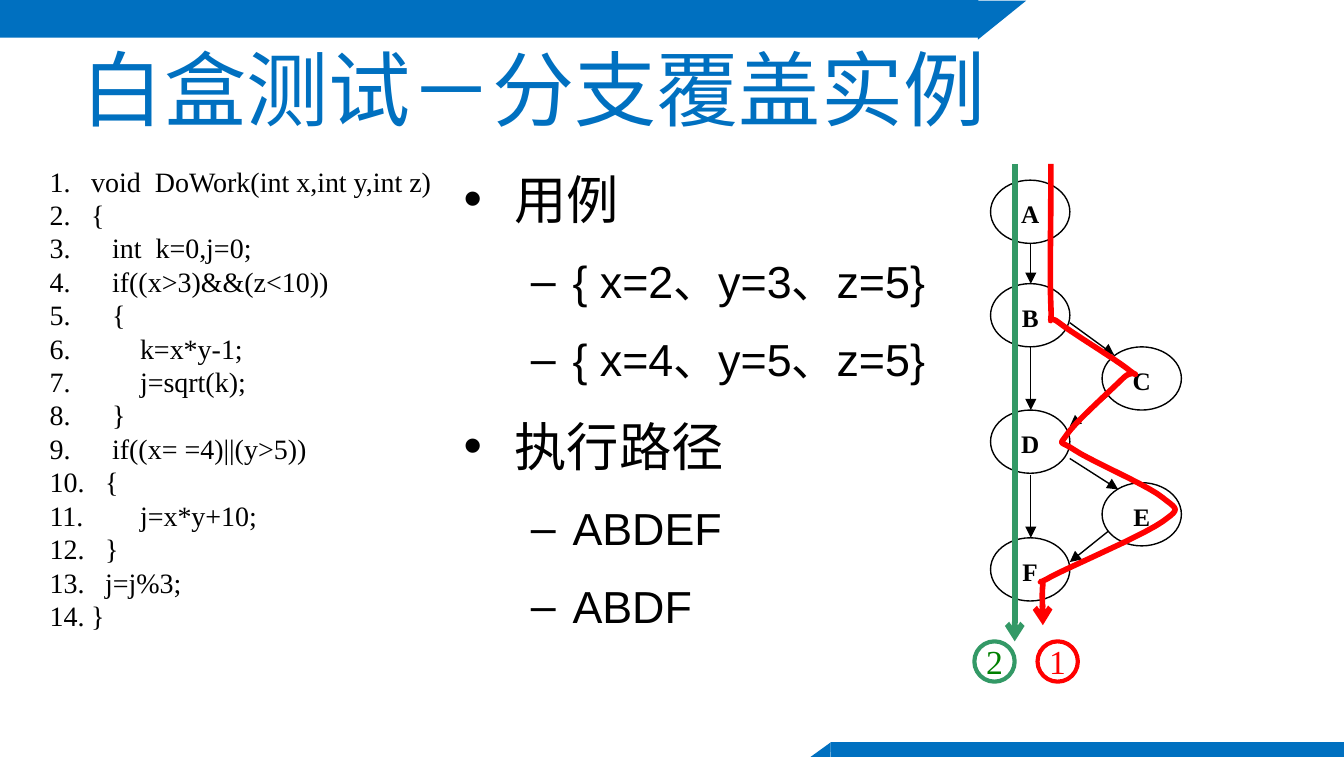
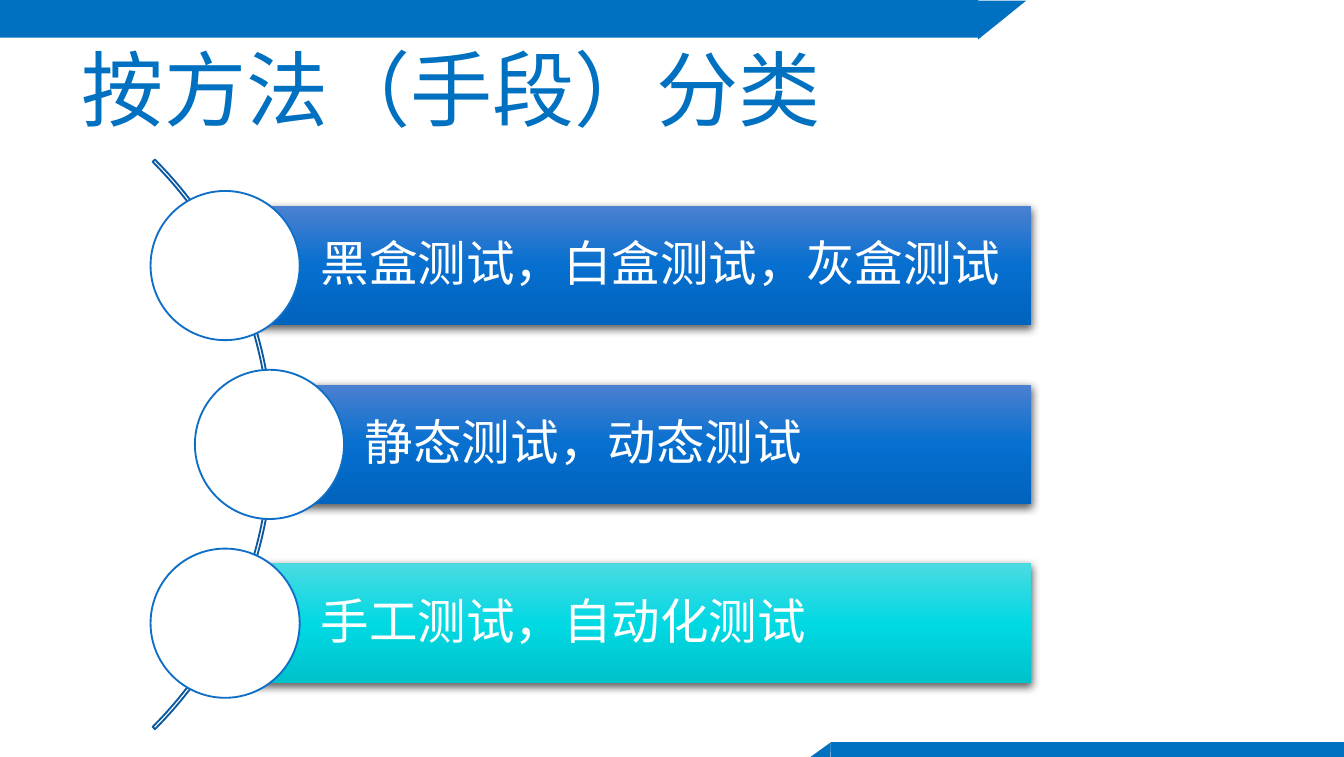
from copy import deepcopy
from typing import NamedTuple

from lxml import etree
from pptx import Presentation
from pptx.dml.color import RGBColor
from pptx.enum.shapes import MSO_CONNECTOR, MSO_SHAPE
from pptx.enum.text import MSO_ANCHOR, MSO_AUTO_SIZE, PP_ALIGN
from pptx.oxml.ns import qn
from pptx.util import Inches, Pt

RECT = MSO_SHAPE.RECTANGLE
TRIANGLE = MSO_SHAPE.RIGHT_TRIANGLE
OVAL = MSO_SHAPE.OVAL
NODE = MSO_SHAPE.FLOWCHART_CONNECTOR
ARC = MSO_SHAPE.BLOCK_ARC
STRAIGHT = MSO_CONNECTOR.STRAIGHT
LEFT, CENTER = PP_ALIGN.LEFT, PP_ALIGN.CENTER
TOP, MIDDLE = MSO_ANCHOR.TOP, MSO_ANCHOR.MIDDLE
NO_FIT = MSO_AUTO_SIZE.NONE

COLORS = {
    "brand": "0070C0", "white": "FFFFFF", "black": "000000",
    "green": "339966", "green_text": "008000", "red": "FF0000",
    "arc": "0C599F", "ring": "0F6FC6",
}
BLUE_GRADIENT = ("4C80D0", "066FCF", "0063BD")
CYAN_GRADIENT = ("4BDAE2", "01D9E3", "00C2CB")

TITLE = {"name": "Montserrat", "size": Pt(44)}
CODE = {"name": "Times New Roman", "size": Pt(15)}
NODE_LABEL = {"name": "Times New Roman", "size": Pt(13.5), "bold": True}
PATH_LABEL = {"name": "Times New Roman", "size": Pt(18)}
BAR_LABEL = {"name": "Arial", "size": Pt(26)}
CJK_TITLE = "Noto Sans CJK SC"


class Box(NamedTuple):
    left: float
    top: float
    width: float
    height: float

    def emu(self) -> list:
        return [Inches(value) for value in self]


class Band(NamedTuple):
    kind: int
    box: Box
    color: str
    rotation: float = 0


class Level(NamedTuple):
    bullet: str
    margin: float
    hanging: float
    size: float
    before: float


class Route(NamedTuple):
    label: str
    left: float
    line: str
    text: str


class Category(NamedTuple):
    text: str
    circle_left: float
    gradient: tuple


BANDS = (
    Band(RECT, Box(0, 0, 10, 0.28), "brand"),
    Band(RECT, Box(7.28, 0, 2.72, 0.38), "white"),
    Band(RECT, Box(6.18, 5.52, 3.84, 0.12), "brand"),
    Band(TRIANGLE, Box(7.31, -0.03, 0.29, 0.36), "brand", 90),
    Band(TRIANGLE, Box(6.04, 5.5, 0.12, 0.16), "brand", 271),
)

CODE_LINES = """void  DoWork(int x,int y,int z)
{
   int  k=0,j=0;
   if((x>3)&&(z<10))
   {
       k=x*y-1;
       j=sqrt(k);
   }
   if((x= =4)||(y>5))
  {
       j=x*y+10;
  }
  j=j%3;
}""".split("\n")

LEVELS = (Level("•", 0.38, 0.38, 28, 15), Level("–", 0.81, 0.31, 24, 13))
CASES = (
    (0, "用例"), (1, "{ x=2、y=3、z=5}"), (1, "{ x=4、y=5、z=5}"),
    (0, "执行路径"), (1, "ABDEF"), (1, "ABDF"),
)

NODES = {"A": (7.37, 1.34), "B": (7.37, 2.11), "D": (7.37, 3.05),
         "F": (7.37, 4), "E": (8.2, 3.59), "C": (8.2, 2.58)}
EDGES = (
    ((7.96, 2.4), (8.29, 2.64)), ((7.96, 3.41), (8.32, 3.64)),
    ((8.26, 2.93), (7.96, 3.17)), ((8.26, 3.94), (7.96, 4.18)),
    ((7.67, 1.81), (7.67, 2.11)), ((7.67, 2.58), (7.67, 3.05)),
    ((7.67, 3.53), (7.67, 4)),
)
ROUTES = (Route("1", 7.72, "red", "red"), Route("2", 7.25, "green", "green_text"))

# Bezier pieces of route 1: two control points and an end point each
RED_START = (7.82, 1.22)
RED_CURVES = (
    ((7.82, 1.65), (7.81, 2.09), (7.82, 2.28)),
    ((7.83, 2.48), (7.78, 2.32), (7.88, 2.4)),
    ((7.98, 2.48), (8.33, 2.69), (8.41, 2.76)),
    ((8.49, 2.82), (8.43, 2.74), (8.36, 2.81)),
    ((8.28, 2.89), (8, 3.14), (7.94, 3.23)),
    ((7.88, 3.32), (7.88, 3.27), (8, 3.35)),
    ((8.12, 3.43), (8.54, 3.61), (8.65, 3.7)),
    ((8.76, 3.79), (8.79, 3.78), (8.65, 3.88)),
    ((8.51, 3.98), (7.97, 4.21), (7.82, 4.29)),
    ((7.68, 4.37), (7.77, 4.29), (7.76, 4.35)),
    ((7.75, 4.41), (7.76, 4.53), (7.76, 4.65)),
)
CURVE_STEPS = 10

CATEGORIES = (
    Category("黑盒测试，白盒测试，灰盒测试", 1.12, BLUE_GRADIENT),
    Category("静态测试，动态测试", 1.45, BLUE_GRADIENT),
    Category("手工测试，自动化测试", 1.12, CYAN_GRADIENT),
)
CIRCLE, CIRCLE_TOP, ROW_PITCH = 1.11, 1.42, 1.33
BAR_HEIGHT, BAR_RIGHT = 0.89, 7.67


# Shared helpers
def rgb(name: str) -> RGBColor:
    return RGBColor.from_string(COLORS.get(name, name))


def add_xml(parent, tag: str, **attributes: str):
    return etree.SubElement(parent, qn(tag), attributes)


def add_run(paragraph, text: str, style: dict, color: str, cjk: str = "") -> None:
    run = paragraph.add_run()
    run.text = text
    for key, value in style.items():
        setattr(run.font, key, value)
    run.font.color.rgb = rgb(color)
    add_xml(run._r.get_or_add_rPr(), "a:ea", typeface=cjk or style["name"])


def set_line(shape, color: str, width: float) -> None:
    shape.line.color.rgb = rgb(color)
    shape.line.width = Pt(width)


def add_arrowhead(shape, kind: str) -> None:
    add_xml(shape.line._get_or_add_ln(), "a:tailEnd", type=kind)


def add_figure(slide, kind: int, box: Box, fill: str = "", line: str = "",
               width: float = 1):
    shape = slide.shapes.add_shape(kind, *box.emu())
    shape.shadow.inherit = False
    if fill:
        shape.fill.solid()
        shape.fill.fore_color.rgb = rgb(fill)
    else:
        shape.fill.background()
    if line:
        set_line(shape, line, width)
    else:
        shape.line.fill.background()
    return shape


def add_arrow(slide, start: tuple, end: tuple, color: str, width: float,
              head: str) -> None:
    points = [Inches(value) for value in (*start, *end)]
    arrow = slide.shapes.add_connector(STRAIGHT, *points)
    add_xml(arrow.element.spPr, "a:effectLst")
    set_line(arrow, color, width)
    add_arrowhead(arrow, head)


def set_list_item(paragraph, margin: float, hanging: float, tag: str,
                  **bullet: str) -> None:
    properties = paragraph._p.get_or_add_pPr()
    properties.set("marL", str(Inches(margin)))
    properties.set("indent", str(-Inches(hanging)))
    add_xml(properties, tag, **bullet)


def paragraphs_for(frame, items):
    for index, item in enumerate(items):
        paragraph = frame.add_paragraph() if index else frame.paragraphs[0]
        paragraph.alignment = LEFT
        yield index, paragraph, item


def place(shape, box: Box, anchor) -> None:
    shape.left, shape.top, shape.width, shape.height = box.emu()
    frame = shape.text_frame
    frame.word_wrap, frame.auto_size, frame.vertical_anchor = True, NO_FIT, anchor


def new_slide(prs, layout: int, title: str):
    slide = prs.slides.add_slide(prs.slide_layouts[layout])
    for index, band in enumerate(BANDS):
        shape = add_figure(slide, band.kind, band.box, band.color)
        shape.rotation = band.rotation
        slide.shapes.element.insert(2 + index, shape.element)
    heading = slide.shapes.title
    place(heading, Box(0.51, 0.3, 9, 0.71), MIDDLE)
    paragraph = heading.text_frame.paragraphs[0]
    paragraph.alignment = LEFT
    add_run(paragraph, title, TITLE, "brand", CJK_TITLE)
    return slide


# Slide 1: branch coverage
def add_code(slide) -> None:
    listing = slide.shapes.add_textbox(*Box(0.27, 1.22, 6.62, 3.61).emu())
    listing.text_frame.word_wrap = True
    for index, paragraph, line in paragraphs_for(listing.text_frame, CODE_LINES):
        paragraph.line_spacing = 0.8
        if index:
            paragraph.space_before = Pt(3.5)
        set_list_item(paragraph, 0.31, 0.31, "a:buAutoNum", type="arabicPeriod")
        add_run(paragraph, line, CODE, "black")


def add_cases(slide) -> None:
    cases = slide.placeholders[1]
    place(cases, Box(3.35, 1.19, 4.37, 3.72), TOP)
    for index, paragraph, (depth, text) in paragraphs_for(cases.text_frame, CASES):
        level = LEVELS[depth]
        paragraph.level = depth
        paragraph.space_before = Pt(level.before if index else 0)
        set_list_item(paragraph, level.margin, level.hanging, "a:buChar",
                      char=level.bullet)
        add_run(paragraph, text, {"name": "Arial", "size": Pt(level.size)}, "black")


def bezier_points(start: tuple, curves: tuple) -> list:
    points = []
    for first, second, end in curves:
        for step in range(1, CURVE_STEPS + 1):
            t = step / CURVE_STEPS
            weights = ((1 - t) ** 3, 3 * t * (1 - t) ** 2, 3 * t * t * (1 - t), t ** 3)
            corners = (start, first, second, end)
            points.append(tuple(
                Inches(sum(w * corner[axis] for w, corner in zip(weights, corners)))
                for axis in (0, 1)))
        start = end
    return points


def add_flow_graph(slide) -> None:
    for start, end in EDGES:
        add_arrow(slide, start, end, "black", 0.75, "triangle")
    for label, (left, top) in NODES.items():
        node = add_figure(slide, NODE, Box(left, top, 0.59, 0.47), "white", "black", 0.75)
        frame = node.text_frame
        frame.vertical_anchor = TOP
        frame.margin_top, frame.margin_bottom = Inches(0.07), Inches(0.05)
        frame.paragraphs[0].alignment = CENTER
        add_run(frame.paragraphs[0], label, NODE_LABEL, "black")


def add_routes(slide) -> None:
    add_arrow(slide, (7.55, 1.22), (7.55, 4.77), "green", 3, "arrow")
    for route in ROUTES:
        badge = add_figure(slide, OVAL, Box(route.left, 4.77, 0.3, 0.3),
                           line=route.line, width=2.25)
        badge.text_frame.word_wrap = False
        badge.text_frame.vertical_anchor = MIDDLE
        badge.text_frame.paragraphs[0].alignment = CENTER
        add_run(badge.text_frame.paragraphs[0], route.label, PATH_LABEL, route.text)
    builder = slide.shapes.build_freeform(*[Inches(value) for value in RED_START])
    builder.add_line_segments(bezier_points(RED_START, RED_CURVES), close=False)
    red_route = builder.convert_to_shape()
    red_route.shadow.inherit = False
    red_route.fill.background()
    set_line(red_route, "red", 3)
    add_arrowhead(red_route, "arrow")


# Slide 2: classification
def set_gradient(shape, colors: tuple) -> None:
    shape.fill.gradient()
    shape.fill.gradient_angle = 270
    stops = shape.element.spPr.find(".//" + qn("a:gsLst"))
    stops.append(deepcopy(stops[0]))
    for stop, position, color in zip(shape.fill.gradient_stops, (0, 0.5, 1), colors):
        stop.position = position
        stop.color.rgb = rgb(color)


def add_shadow(shape) -> None:
    effects = shape.element.spPr.find(qn("a:effectLst"))
    shadow = add_xml(effects, "a:outerShdw", blurRad=str(Pt(4.5)), dist=str(Pt(1.5)),
                     dir="5400000", algn="ctr", rotWithShape="0")
    color = add_xml(shadow, "a:srgbClr", val=COLORS["black"])
    add_xml(color, "a:alpha", val="63000")


def add_category(slide, row: int, category: Category) -> None:
    top = CIRCLE_TOP + row * ROW_PITCH
    left = category.circle_left + CIRCLE / 2
    bar_top = top + (CIRCLE - BAR_HEIGHT) / 2
    bar = add_figure(slide, RECT, Box(left, bar_top, BAR_RIGHT - left, BAR_HEIGHT))
    set_gradient(bar, category.gradient)
    add_shadow(bar)
    frame = bar.text_frame
    frame.word_wrap, frame.vertical_anchor = True, MIDDLE
    for side in ("top", "right", "bottom"):
        setattr(frame, f"margin_{side}", Inches(0.07))
    frame.margin_left = Inches(0.71)
    paragraph = frame.paragraphs[0]
    paragraph.alignment, paragraph.line_spacing = LEFT, 0.9
    add_run(paragraph, category.text, BAR_LABEL, "white")
    add_figure(slide, OVAL, Box(category.circle_left, top, CIRCLE, CIRCLE), "white", "ring")


def main() -> None:
    prs = Presentation()
    prs.slide_width, prs.slide_height = Inches(10), Inches(5.63)

    coverage = new_slide(prs, 1, "白盒测试－分支覆盖实例")
    add_code(coverage)
    add_cases(coverage)
    add_flow_graph(coverage)
    add_routes(coverage)

    methods = new_slide(prs, 5, "按方法（手段）分类")
    arc = add_figure(methods, ARC, Box(-3.96, 0.31, 5.99, 5.99), line="arc")
    for index, value in enumerate((189, 27, 0.004)):
        arc.adjustments[index] = value
    for row, category in enumerate(CATEGORIES):
        add_category(methods, row, category)

    prs.save("out.pptx")


if __name__ == "__main__":
    main()
